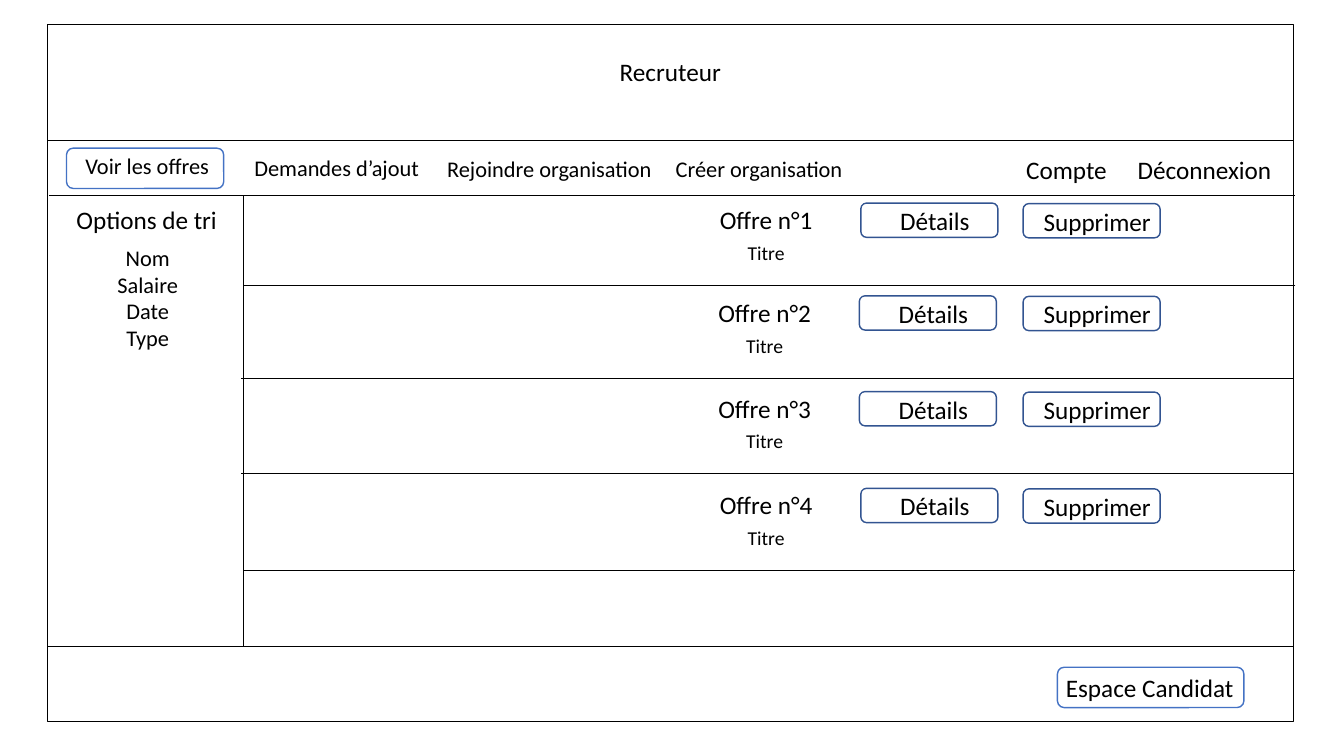
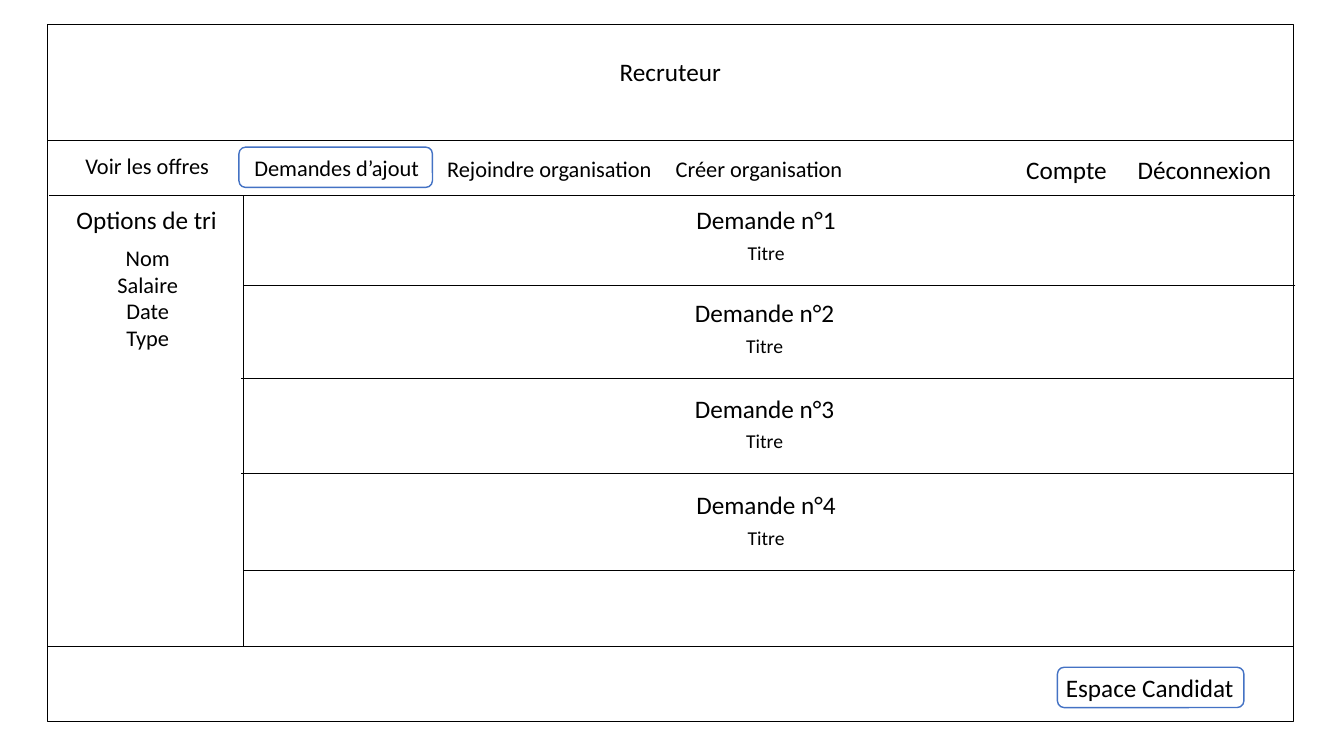
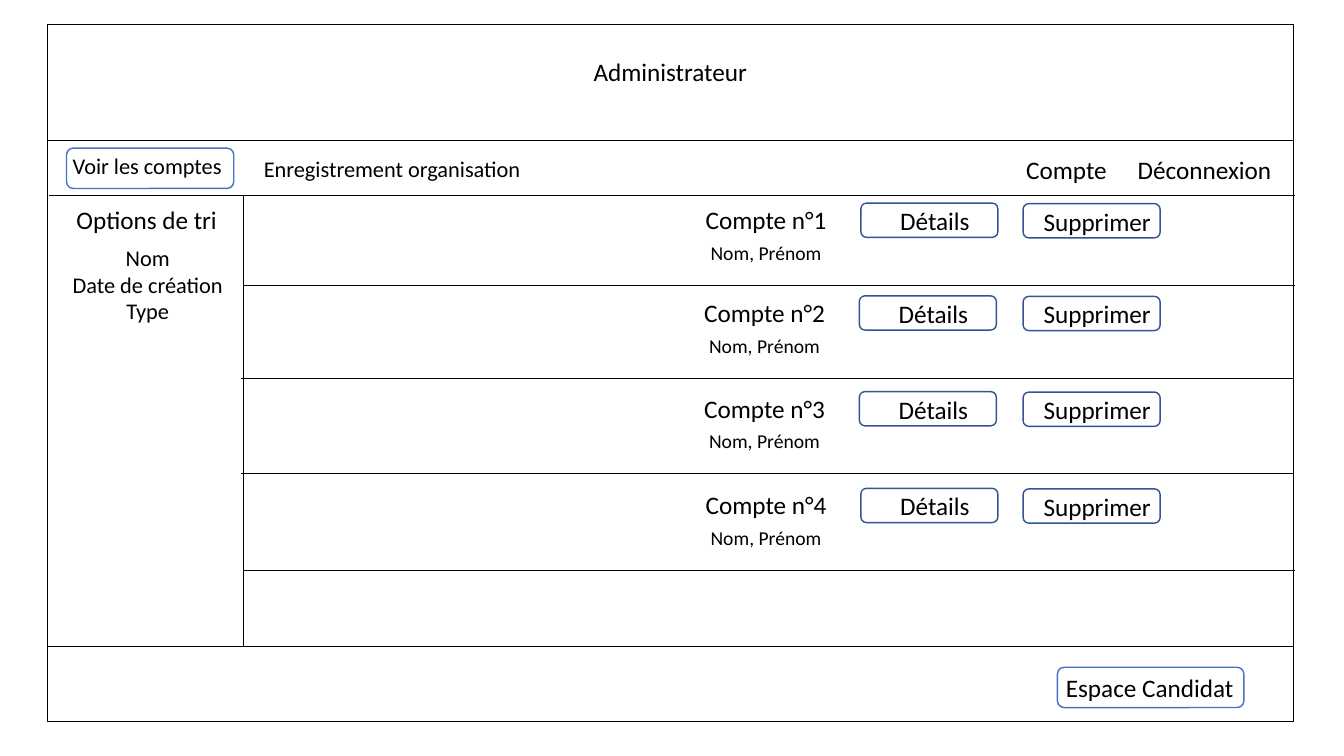
"""Build three wireframes of a job board on a grid of tenth-inch cells."""
from dataclasses import dataclass

from lxml import etree
from pptx import Presentation, util as u
from pptx.dml.color import RGBColor
from pptx.enum import shapes as kinds, text as t
from pptx.oxml.ns import qn
from pptx.slide import Slide

CELL = u.Inches(0.1)
COLS, ROWS = 133.33, 75
HUES = {"ink": "000000", "focus": "4472C4", "button": "325491"}
FONT = {"name": "Calibri", "bold": False}
FRAME = {"word_wrap": True, "auto_size": t.MSO_AUTO_SIZE.SHAPE_TO_FIT_TEXT}
LARGE, MID, SMALL = 18, 16, 14
LEFT, TOP, WIDE, HIGH = 4.7, 2.4, 123.6, 69.2
RIGHT, SIDE = LEFT + WIDE, 24.1
HEAD, MENU, FOOT = 13.9, 19.4, 64.1
ITEMS = ((19.8, 0), (29, -0.15), (38.5, -0.15), (48.1, 0))


@dataclass(frozen=True)
class Box:
    """Place and size in grid cells."""
    col: float
    row: float
    wide: float
    high: float


@dataclass(frozen=True)
class Label:
    """Centred text, one paragraph per line."""
    text: str
    box: Box
    size: int = LARGE


@dataclass(frozen=True)
class Rule:
    """Thin line between two grid points."""
    col: float
    row: float
    end: float
    base: float


@dataclass(frozen=True)
class Page:
    """Content of one screen."""
    title: str
    menu: tuple[Label, ...]
    focus: Box
    sorts: str
    item: str
    note: str
    acts: bool = True


def cells(*spans: float) -> list[int]:
    """Turn grid cells into slide lengths."""
    return [round(span * CELL) for span in spans]


def write(slide: Slide, label: Label) -> None:
    """Draw a label."""
    box = label.box
    frame = slide.shapes.add_textbox(*cells(box.col, box.row, box.wide, box.high)).text_frame
    for key, value in FRAME.items():
        setattr(frame, key, value)
    frame.text = label.text
    for para in frame.paragraphs:
        para.alignment = t.PP_ALIGN.CENTER
        for run in para.runs:
            for key, value in {**FONT, "size": u.Pt(label.size)}.items():
                setattr(run.font, key, value)
            run.font.color.rgb = RGBColor.from_string(HUES["ink"])


def outline(slide: Slide, box: Box, hue: str, kind: int = kinds.MSO_SHAPE.ROUNDED_RECTANGLE) -> None:
    """Draw an unfilled shape."""
    shape = slide.shapes.add_shape(kind, *cells(box.col, box.row, box.wide, box.high))
    shape.shadow.inherit = False
    shape.fill.background()
    shape.line.width = u.Pt(1)
    shape.line.color.rgb = RGBColor.from_string(HUES[hue])


def draw(slide: Slide, rule: Rule) -> None:
    """Draw a rule."""
    line = slide.shapes.add_connector(
        kinds.MSO_CONNECTOR.STRAIGHT, *cells(rule.col, rule.row, rule.end, rule.base))
    line.line.width = u.Pt(0.5)
    line.line.color.rgb = RGBColor.from_string(HUES["ink"])
    etree.SubElement(line._element.spPr, qn("a:effectLst"))


def entry(slide: Slide, page: Page, rank: int, row: float, shift: float) -> None:
    """Draw one list item with its buttons and lower rule."""
    edge = shift and 0.2
    draw(slide, Rule(RIGHT + 0.2 - edge, row + 8.5, SIDE - edge, row + 8.5))
    write(slide, Label(f"{page.item} n°{rank}", Box(60.6 + shift, row, 30.8, 4)))
    write(slide, Label(page.note, Box(60.6 + shift, row + 3.6, 30.8, 3.4), SMALL))
    if page.acts:
        for text, col, drop in (("Détails", 85.4 + shift, 0.1), ("Supprimer", 101.5, 0.15)):
            outline(slide, Box(col, row + drop + 0.25, 13.6, 3.4), "button")
            write(slide, Label(text, Box(col + 0.55, row + drop, 13.6, 4)))


def build(slide: Slide, page: Page) -> None:
    """Draw a whole screen."""
    outline(slide, Box(LEFT, TOP, WIDE, HIGH), "ink", kinds.MSO_SHAPE.RECTANGLE)
    for rule in (
        Rule(LEFT, HEAD, RIGHT, HEAD),
        Rule(LEFT + 0.2, MENU, RIGHT + 0.2, MENU),
        Rule(LEFT, FOOT, RIGHT, FOOT),
        Rule(SIDE, MENU, SIDE, FOOT),
    ):
        draw(slide, rule)
    count = len(page.sorts.splitlines())
    for label in (
        Label(page.title, Box(41.6, 5.1, 49.8, 4)),
        Label("Options de tri", Box(2.6, 19.8, 23.9, 4)),
        *page.menu,
        Label("Déconnexion", Box(109, 14.8, 21, 4)),
        Label("Compte", Box(95.3, 14.8, 21, 4)),
        Label(page.sorts, Box(2.7, 23.7, 23.9, 1 + 2.7 * count), MID),
        Label("Espace Candidat", Box(88.2, 66.2, 51.7, 4)),
    ):
        write(slide, label)
    for rank, (row, shift) in enumerate(ITEMS, 1):
        entry(slide, page, rank, row, shift)
    outline(slide, page.focus, "focus")
    outline(slide, Box(104.9, 66.2, 18.5, 4), "focus")


def tab(text: str, col: float, row: float = 14.9, wide: float = 28.2) -> Label:
    """Make a menu label."""
    return Label(text, Box(col, row, wide, 3.7), MID)


def first(text: str) -> Label:
    """Make the first menu label."""
    return tab(text, 4.1, 14.6, 21)


HIRE = (
    first("Voir les offres"),
    tab("Demandes d’ajout", 19.3, 14.8),
    tab("Rejoindre organisation", 40.4),
    tab("Créer organisation", 61.2),
)
ADMIN = (first("Voir les comptes"), tab("Enregistrement organisation", 24.8))
SORTS = "Nom\nSalaire\nDate\nType"
PAGES = (
    Page("Recruteur", HIRE, Box(6.6, 14.7, 15.6, 4), SORTS, "Offre", "Titre"),
    Page("Recruteur", HIRE, Box(23.7, 14.6, 19.2, 4), SORTS, "Demande", "Titre", False),
    Page("Administrateur", ADMIN, Box(6.6, 14.7, 16.6, 4),
         "Nom\nDate de création\nType", "Compte", "Nom, Prénom"),
)


def main() -> None:
    """Build and save the deck."""
    deck = Presentation()
    deck.slide_width, deck.slide_height = cells(COLS, ROWS)
    for page in PAGES:
        build(deck.slides.add_slide(deck.slide_layouts[6]), page)
    deck.save("out.pptx")


main()
